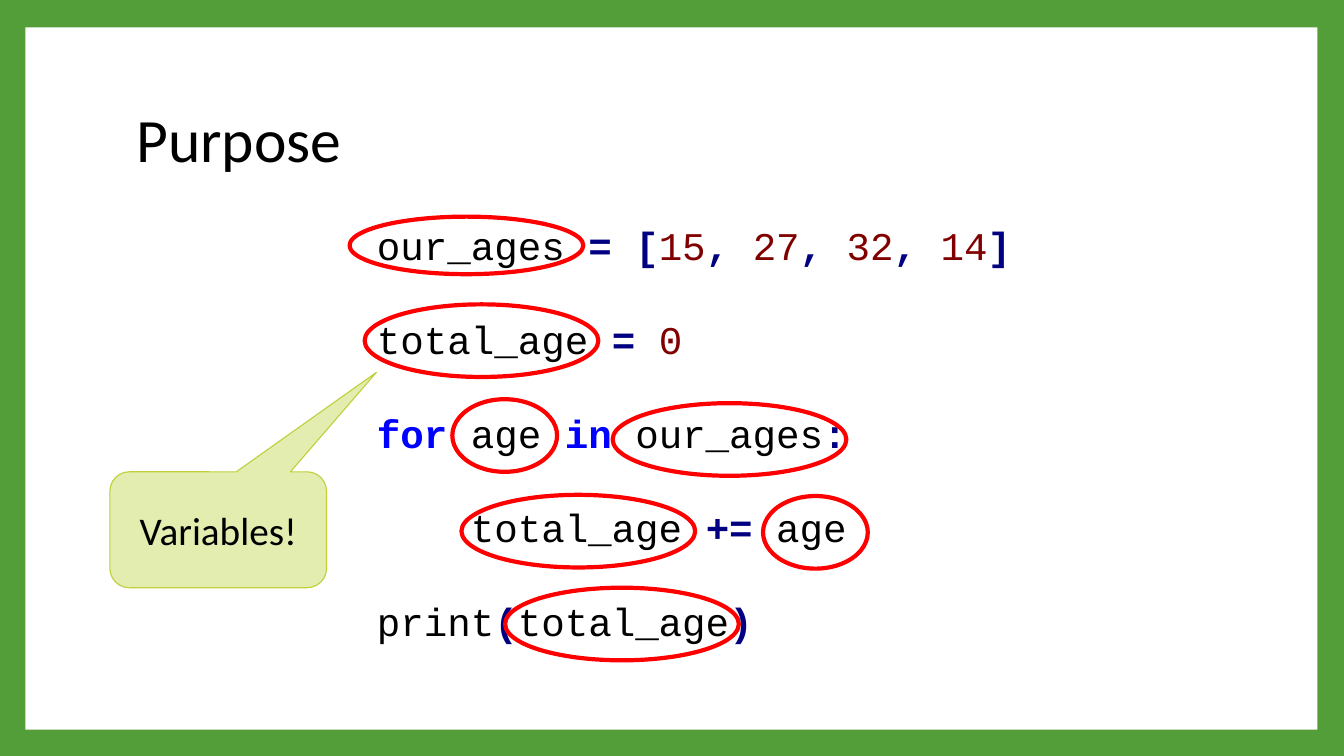
from pptx import Presentation
from pptx.dml.color import RGBColor
from pptx.enum.shapes import MSO_SHAPE
from pptx.enum.text import MSO_ANCHOR, MSO_AUTO_SIZE, PP_ALIGN
from pptx.util import Cm, Pt

OVAL = MSO_SHAPE.OVAL
RECTANGLE = MSO_SHAPE.RECTANGLE
CALLOUT = MSO_SHAPE.ROUNDED_RECTANGULAR_CALLOUT
MIDDLE, TOP = MSO_ANCHOR.MIDDLE, MSO_ANCHOR.TOP
LEFT, CENTER = PP_ALIGN.LEFT, PP_ALIGN.CENTER
NO_AUTOFIT = MSO_AUTO_SIZE.NONE

# Content: bars separate the coloured tokens of each code line
TITLE = "Purpose"
CALLOUT_TEXT = "Variables!"
CODE_LINES = [
    "our_ages |=| |[|15|,| |27|,| |32|,| |14|]",
    "total_age |=| |0",
    "for| age |in| our_ages|:",
    "    total_age |+=| age",
    "print|(|total_age|)",
]
KEYWORDS = ("for", "in")
OPERATORS = ("=", "+=", "[", "]", "(", ")", ",", ":")

# Left, top, width and height in centimetres
FRAME = (0.64, 0.69, 32.56, 17.7)
TITLE_AREA = (3.18, 1.7, 27.43, 3.76)
CODE_AREA = (9.25, 5.46, 16.94, 11.02)
CALLOUT_AREA = (2.77, 11.89, 5.46, 2.92)
CALLOUT_ADJUSTMENTS = (0.73, -1.358, 0.167)
WIDE, NARROW = 5.89, 2.64
TALL, SHORT = 1.83, 1.45
VARIABLE_RINGS = [
    (8.81, 5.46, WIDE, SHORT),
    (9.19, 7.67, WIDE, TALL),
    (15.44, 10.16, WIDE, TALL),
    (11.4, 10.06, NARROW, TALL),
    (11.63, 12.47, WIDE, TALL),
    (12.73, 14.81, WIDE, TALL),
    (19.23, 12.5, NARROW, TALL),
]
COLORS = {
    "border": "549E39", "paper": "FFFFFF", "text": "000000", "ring": "FF0000",
    "keyword": "0000FF", "operator": "000080", "number": "800000",
    "callout": "E4EDB0", "callout line": "C0CF3A",
}


def color(name):
    return RGBColor.from_string(COLORS[name])


def place(area):
    return [Cm(length) for length in area]


def add_shape(kind, area, fill=None, line=None, width=0):
    shape = slide.shapes.add_shape(kind, *place(area))
    shape.shadow.inherit = False
    if fill:
        shape.fill.solid()
        shape.fill.fore_color.rgb = color(fill)
    else:
        shape.fill.background()
    if line:
        shape.line.color.rgb = color(line)
        shape.line.width = Pt(width)
    else:
        shape.line.fill.background()
    return shape


def write_label(shape, text, size, alignment):
    frame = shape.text_frame
    frame.word_wrap = True
    frame.auto_size = NO_AUTOFIT
    frame.vertical_anchor = MIDDLE
    frame.text = text
    para = frame.paragraphs[0]
    para.alignment = alignment
    para.font.name = "Calibri"
    para.font.size = Pt(size)
    para.font.color.rgb = color("text")
    return para


def token_kind(token):
    if token in KEYWORDS:
        return "keyword"
    if token in OPERATORS:
        return "operator"
    return "number" if token.isdigit() else "text"


deck = Presentation()
deck.slide_width, deck.slide_height = Cm(33.87), Cm(19.05)
slide = deck.slides.add_slide(deck.slide_layouts[5])

# Green border around a white page
slide.background.fill.solid()
slide.background.fill.fore_color.rgb = color("border")
title = slide.shapes.title
page = add_shape(RECTANGLE, FRAME, fill="paper")
title.element.addprevious(page.element)

# Title
title.left, title.top, title.width, title.height = place(TITLE_AREA)
write_label(title, TITLE, 44, LEFT).line_spacing = 0.9

# Code with syntax colours
code = slide.shapes.add_textbox(*place(CODE_AREA)).text_frame
code.word_wrap = True
code.vertical_anchor = TOP
for index, line in enumerate(CODE_LINES):
    para = code.paragraphs[0] if index == 0 else code.add_paragraph()
    if index:
        para.space_before = Pt(33.4)
    para.font.name = "Courier New"
    para.font.size = Pt(28)
    for token in line.split("|"):
        kind = token_kind(token)
        span = para.add_run()
        span.text = token
        span.font.bold = kind in ("keyword", "operator")
        span.font.color.rgb = color(kind)

# Rings around the variables
for ring in VARIABLE_RINGS:
    add_shape(OVAL, ring, line="ring", width=3)

# Callout
callout = add_shape(CALLOUT, CALLOUT_AREA, "callout", "callout line", 0.79)
for index, value in enumerate(CALLOUT_ADJUSTMENTS):
    callout.adjustments[index] = value
write_label(callout, CALLOUT_TEXT, 28, CENTER)

deck.save("out.pptx")
